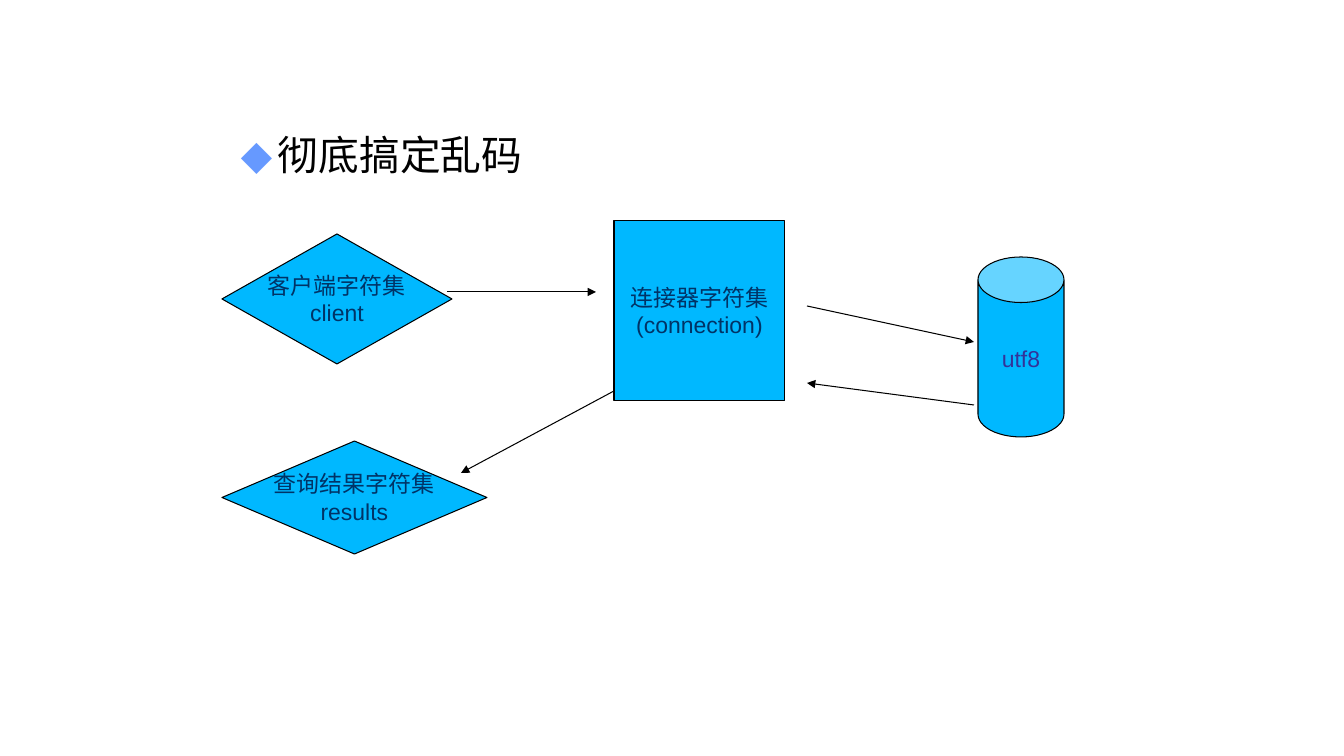
from lxml import etree
from pptx import Presentation
from pptx import util as u
from pptx.dml.color import RGBColor
from pptx.enum import shapes, text
from pptx.oxml.ns import qn

BLACK = RGBColor(0x00, 0x00, 0x00)
SKY = RGBColor(0x00, 0xB8, 0xFF)
NAVY = RGBColor(0x00, 0x33, 0x66)
INDIGO = RGBColor(0x33, 0x33, 0x99)
BULLET_BLUE = RGBColor(0x66, 0x99, 0xFF)


def px(length):
    return u.Emu(round(length * 914400 / 100.8))


class Diagram:
    """Draws the parts of a character set diagram on one slide."""

    label_font, label_size = "Arial", u.Pt(16.4)
    heading_font, heading_size = "DejaVu Sans", u.Pt(29.1)
    line_width = u.Pt(0.75)

    def __init__(self, slide):
        self.shapes = slide.shapes

    def style_font(self, paragraph, name, size, color):
        for run in paragraph.runs:
            run.font.name, run.font.size = name, size
            run.font.color.rgb = color

    def heading(self, x, y, w, h, words):
        frame = self.shapes.add_textbox(px(x), px(y), px(w), px(h)).text_frame
        frame.word_wrap = True
        frame.text = words
        paragraph = frame.paragraphs[0]
        props = paragraph._p.get_or_add_pPr()
        props.set("marL", str(px(37)))
        props.set("indent", str(-px(37)))
        bullet_color = etree.SubElement(props, qn("a:buClr"))
        etree.SubElement(bullet_color, qn("a:srgbClr"), val=str(BULLET_BLUE))
        etree.SubElement(props, qn("a:buFont"), typeface=self.heading_font)
        etree.SubElement(props, qn("a:buChar"), char="◆")
        paragraph.line_spacing = 0.98
        self.style_font(paragraph, self.heading_font, self.heading_size, BLACK)

    def node(self, kind, x, y, w, h, label, color=NAVY):
        node = self.shapes.add_shape(kind, px(x), px(y), px(w), px(h))
        node.shadow.inherit = False
        node.fill.solid()
        node.fill.fore_color.rgb = SKY
        node.line.color.rgb = BLACK
        node.line.width = self.line_width
        frame = node.text_frame
        frame.word_wrap = False
        frame.vertical_anchor = text.MSO_ANCHOR.MIDDLE
        frame.text = label
        for paragraph in frame.paragraphs:
            paragraph.alignment = text.PP_ALIGN.CENTER
            self.style_font(paragraph, self.label_font, self.label_size, color)
        return node

    def arrow(self, x1, y1, x2, y2):
        arrow = self.shapes.add_connector(
            shapes.MSO_CONNECTOR.STRAIGHT, px(x1), px(y1), px(x2), px(y2))
        arrow.line.color.rgb = BLACK
        arrow.line.width = self.line_width
        etree.SubElement(arrow.line._get_or_add_ln(), qn("a:tailEnd"), type="triangle")
        etree.SubElement(arrow._element.spPr, qn("a:effectLst"))


def main():
    deck = Presentation()
    deck.slide_width, deck.slide_height = px(1344), px(756)
    diagram = Diagram(deck.slides.add_slide(deck.slide_layouts[6]))
    kinds = shapes.MSO_SHAPE

    diagram.heading(231, 127, 833, 57, "彻底搞定乱码")
    diagram.node(kinds.DIAMOND, 222, 234, 230, 130, "客户端字符集\nclient")
    diagram.node(kinds.RECTANGLE, 614, 221, 171, 180, "连接器字符集\n(connection)")
    diagram.node(kinds.DIAMOND, 222, 441, 265, 113, "查询结果字符集\nresults")
    database = diagram.node(kinds.CAN, 978, 257, 86, 180, "utf8", INDIGO)
    database.adjustments[0] = 0.53

    for ends in (
        (447, 292, 596, 292),
        (614, 391, 461, 473),
        (807, 306, 974, 342),
        (974, 405, 807, 383),
    ):
        diagram.arrow(*ends)

    deck.save("out.pptx")


if __name__ == "__main__":
    main()
